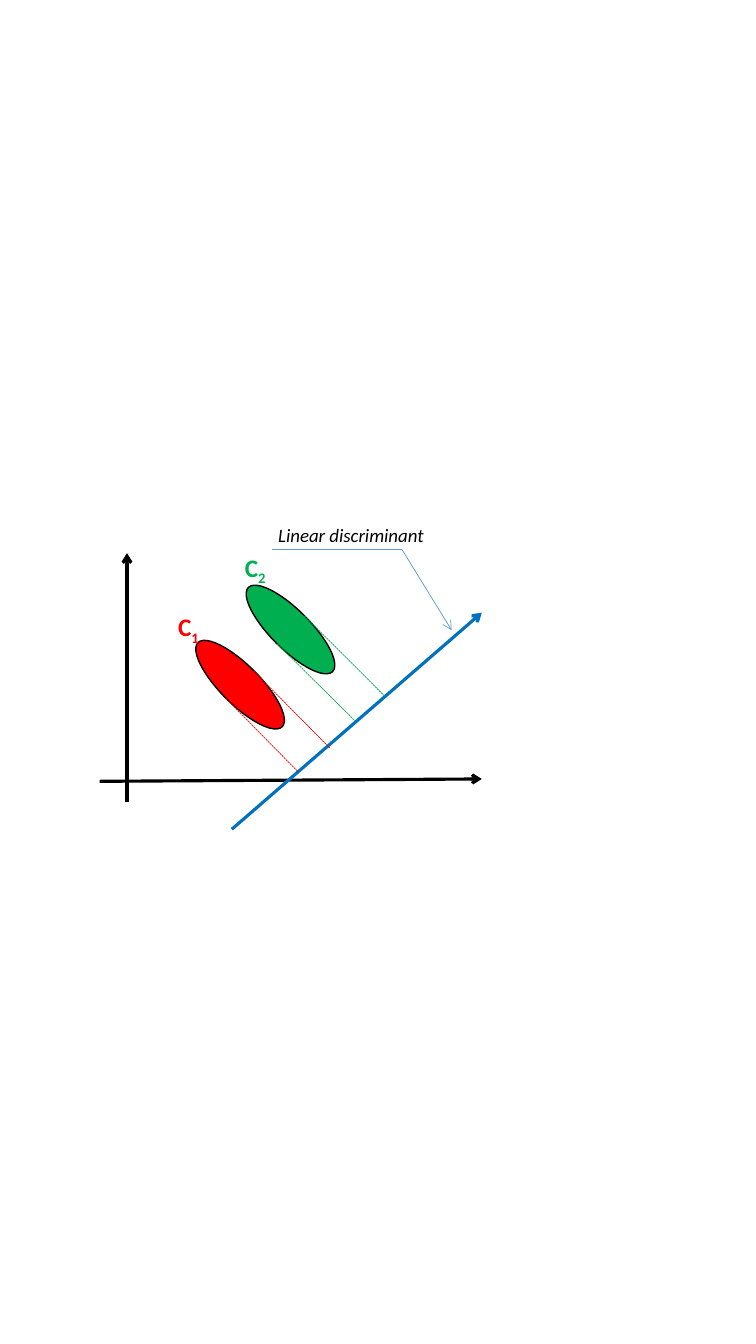
from lxml.etree import SubElement
from pptx import Presentation
from pptx.dml.color import RGBColor
from pptx.enum.dml import MSO_LINE_DASH_STYLE as Dash
from pptx.enum.shapes import MSO_CONNECTOR as Connector, MSO_SHAPE as Shape
from pptx.enum.text import MSO_AUTO_SIZE as AutoSize
from pptx.oxml.ns import qn
from pptx.util import Cm, Pt

BLACK, RED, GREEN = "000000", "FF0000", "00B050"
BLUE, PALE_BLUE = "0070C0", "5B9BD5"


def paint(target, color):
    target.rgb = RGBColor.from_string(color)


class Diagram:
    font = "Calibri"

    def __init__(self, slide):
        self.slide = slide

    def line(self, start, end, color, width, dashed=False, arrow=False):
        connector = self.slide.shapes.add_connector(
            Connector.STRAIGHT, *(Cm(value) for value in (*start, *end)))
        paint(connector.line.color, color)
        connector.line.width = Pt(width)
        if dashed:
            connector.line.dash_style = Dash.SQUARE_DOT
        properties = connector._element.spPr
        if arrow:
            SubElement(properties.find(qn("a:ln")), qn("a:tailEnd"), type="arrow")
        SubElement(properties, qn("a:effectLst"))

    def cluster(self, left, top, color):
        ellipse = self.slide.shapes.add_shape(
            Shape.OVAL, Cm(left), Cm(top), Cm(3), Cm(0.99))
        ellipse.rotation = 45
        ellipse.shadow.inherit = False
        ellipse.fill.solid()
        paint(ellipse.fill.fore_color, color)
        paint(ellipse.line.color, BLACK)
        ellipse.line.width = Pt(1)

    def label(self, box, text, size, color, bold=False, italic=False, subscript=None):
        frame = self.slide.shapes.add_textbox(*(Cm(value) for value in box)).text_frame
        frame.word_wrap = True
        frame.auto_size = AutoSize.SHAPE_TO_FIT_TEXT
        frame.text = text
        paragraph = frame.paragraphs[0]
        if subscript:
            index = paragraph.add_run()
            index.text = subscript
            index._r.get_or_add_rPr().set("baseline", "-25000")
        for run in paragraph.runs:
            run.font.name = self.font
            run.font.size = Pt(size)
            run.font.bold = bold
            run.font.italic = italic
            paint(run.font.color, color)


def main():
    deck = Presentation()
    deck.slide_width, deck.slide_height = Cm(19.05), Cm(33.87)
    diagram = Diagram(deck.slides.add_slide(deck.slide_layouts[6]))

    diagram.line((2.51, 19.69), (12.14, 19.63), BLACK, 2.25, arrow=True)
    diagram.line((3.2, 20.22), (3.2, 13.94), BLACK, 2.25, arrow=True)

    diagram.cluster(4.55, 16.76, RED)
    diagram.cluster(5.82, 15.37, GREEN)
    diagram.label((4.24, 15.29, 1.09, 1.02), "C", 18, RED, bold=True, subscript="1")
    diagram.label((5.92, 13.79, 1.45, 1.02), "C", 18, GREEN, bold=True, subscript="2")

    diagram.line((5.84, 20.9), (12.14, 15.44), BLUE, 2.25, arrow=True)

    projections = [
        ((5.69, 17.6), (7.52, 19.46), RED),
        ((6.4, 16.92), (8.31, 18.85), RED),
        ((6.99, 16.23), (8.94, 18.16), GREEN),
        ((7.67, 15.52), (9.7, 17.55), GREEN),
    ]
    for tangent, foot, color in projections:
        diagram.line(tangent, foot, color, 0.5, dashed=True)

    callout_corner = (10.13, 13.85)
    diagram.line(callout_corner, (11.38, 15.88), PALE_BLUE, 0.5, arrow=True)
    diagram.line(callout_corner, (6.86, 13.85), PALE_BLUE, 0.5)
    diagram.label((6.76, 13.08, 4.5, 0.84), "Linear discriminant", 13.5, BLACK, italic=True)

    deck.save("out.pptx")


if __name__ == "__main__":
    main()
